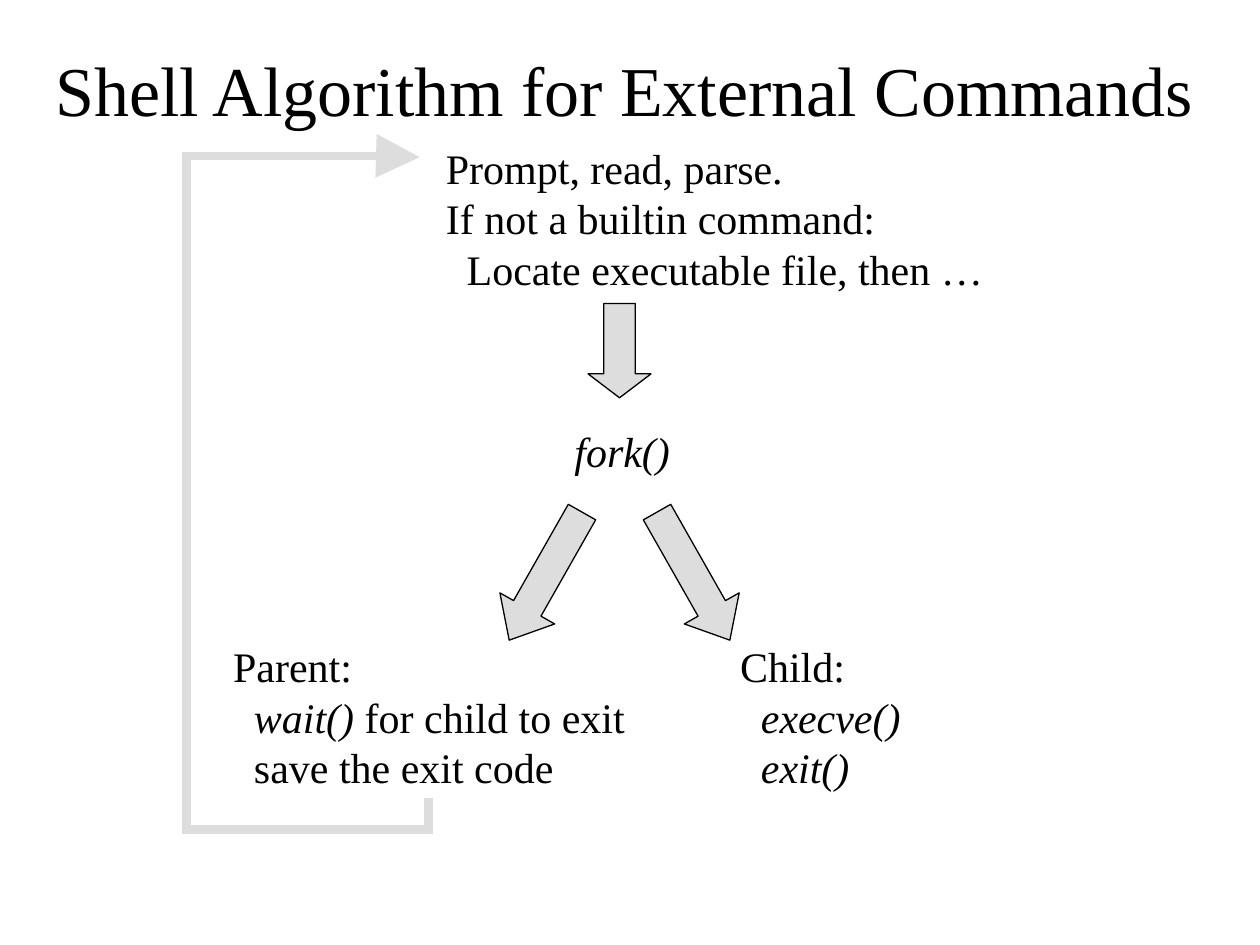
from lxml.etree import SubElement
from pptx import Presentation
from pptx.dml.color import RGBColor
from pptx.enum.shapes import MSO_CONNECTOR as Connector, MSO_SHAPE as Shape
from pptx.enum.text import MSO_ANCHOR as Anchor, MSO_AUTO_SIZE as AutoSize, PP_ALIGN as Align
from pptx.oxml.ns import qn
from pptx.util import Cm, Pt

COLORS = {"text": "000000", "outline": "000000", "arrow": "DDDDDD"}
FONT = "Times New Roman"
INDENT = Cm(0.42)

TITLE = "Shell Algorithm for External Commands"
TITLE_BOX = (0.86, 0.81, 23.52, 1.96)

# Each line is (indented, [(text, italic), ...])
STEPS = [
    ((8.74, 2.75, 11.43, 3.3), [
        (False, [("Prompt, read, parse.", False)]),
        (False, [("If not a builtin command:", False)]),
        (True, [("Locate executable file, then …", False)]),
    ]),
    ((11.33, 8.45, 2.54, 1.27), [(False, [("fork()", True)])]),
    ((4.45, 12.79, 8.51, 3.3), [
        (False, [("Parent:", False)]),
        (True, [("wait()", True), (" for child to exit", False)]),
        (True, [("save the exit code", False)]),
    ]),
    ((14.67, 12.79, 3.83, 3.3), [
        (False, [("Child:", False)]),
        (True, [("execve()", True)]),
        (True, [("exit()", True)]),
    ]),
]

FLOW_CENTER, ARROW_WIDTH = 12.49, 1.27
# Offset from the flow centre, top, length, rotation, head ratio
FLOW_ARROWS = [
    (0, 6.12, 1.9, 0, 0.38),
    (-1.49, 10.13, 2.97, 29.6, 0.58),
    (1.49, 10.13, 2.97, -29.6, 0.58),
]

LOOP_START, LOOP_END = (8.64, 16.08), (8.46, 3.17)
LOOP_BOTTOM, LOOP_LEFT, LOOP_TOP = 16.72, 3.76, 3.15


def rgb(role):
    return RGBColor.from_string(COLORS[role])


def add_run(paragraph, text, size, italic=False):
    run = paragraph.add_run()
    run.text = text
    run.font.name, run.font.size, run.font.italic = FONT, Pt(size), italic
    run.font.color.rgb = rgb("text")


def add_title(slide):
    title = slide.shapes.title
    title.left, title.top, title.width, title.height = map(Cm, TITLE_BOX)
    frame = title.text_frame
    frame.word_wrap, frame.auto_size = False, AutoSize.SHAPE_TO_FIT_TEXT
    frame.vertical_anchor = Anchor.TOP
    frame.paragraphs[0].alignment = Align.LEFT
    add_run(frame.paragraphs[0], TITLE, 40)


def add_step(slide, box, lines):
    frame = slide.shapes.add_textbox(*map(Cm, box)).text_frame
    frame.word_wrap, frame.auto_size = True, AutoSize.SHAPE_TO_FIT_TEXT
    for number, (indented, runs) in enumerate(lines):
        paragraph = frame.add_paragraph() if number else frame.paragraphs[0]
        if indented:
            paragraph._p.get_or_add_pPr().set("marL", str(INDENT))
        for text, italic in runs:
            add_run(paragraph, text, 24, italic)


def add_flow_arrow(slide, offset, top, length, rotation, head):
    left = FLOW_CENTER + offset - ARROW_WIDTH / 2
    arrow = slide.shapes.add_shape(
        Shape.DOWN_ARROW, Cm(left), Cm(top), Cm(ARROW_WIDTH), Cm(length))
    arrow.rotation = rotation
    arrow.adjustments[0], arrow.adjustments[1] = 0.5, head
    arrow.shadow.inherit = False
    arrow.fill.solid()
    arrow.fill.fore_color.rgb = rgb("arrow")
    arrow.line.color.rgb = rgb("outline")
    arrow.line.width = Pt(0.75)


def add_loop(slide):
    (start_x, start_y), (end_x, end_y) = LOOP_START, LOOP_END
    rise, shift = start_y - end_y, start_x - end_x
    center_x, center_y = (start_x + end_x) / 2, (start_y + end_y) / 2
    loop = slide.shapes.add_connector(
        Connector.ELBOW,
        Cm(center_x - rise / 2), Cm(center_y + shift / 2),
        Cm(center_x + rise / 2), Cm(center_y - shift / 2))
    loop.line.color.rgb = rgb("arrow")
    loop.line.width = Pt(5)
    properties = loop._element.spPr
    properties.find(qn("a:xfrm")).set("rot", str(270 * 60000))
    geometry = properties.find(qn("a:prstGeom"))
    geometry.set("prst", "bentConnector5")
    bends = [(start_y - LOOP_BOTTOM) / rise,
             (start_x - LOOP_LEFT) / shift,
             (start_y - LOOP_TOP) / rise]
    for number, bend in enumerate(bends, 1):
        SubElement(geometry.find(qn("a:avLst")), qn("a:gd"),
                   name=f"adj{number}", fmla=f"val {round(bend * 100000)}")
    outline = properties.find(qn("a:ln"))
    SubElement(outline, qn("a:miter"), lim="800000")
    SubElement(outline, qn("a:tailEnd"), type="triangle", w="lg", len="lg")
    SubElement(properties, qn("a:effectLst"))


def main():
    """Build the slide on how a shell runs external commands."""
    deck = Presentation()
    deck.slide_width, deck.slide_height = Cm(25.4), Cm(19.05)
    slide = deck.slides.add_slide(deck.slide_layouts[5])
    add_title(slide)
    for arrow in FLOW_ARROWS:
        add_flow_arrow(slide, *arrow)
    for box, lines in STEPS:
        add_step(slide, box, lines)
    add_loop(slide)
    deck.save("out.pptx")


if __name__ == "__main__":
    main()
